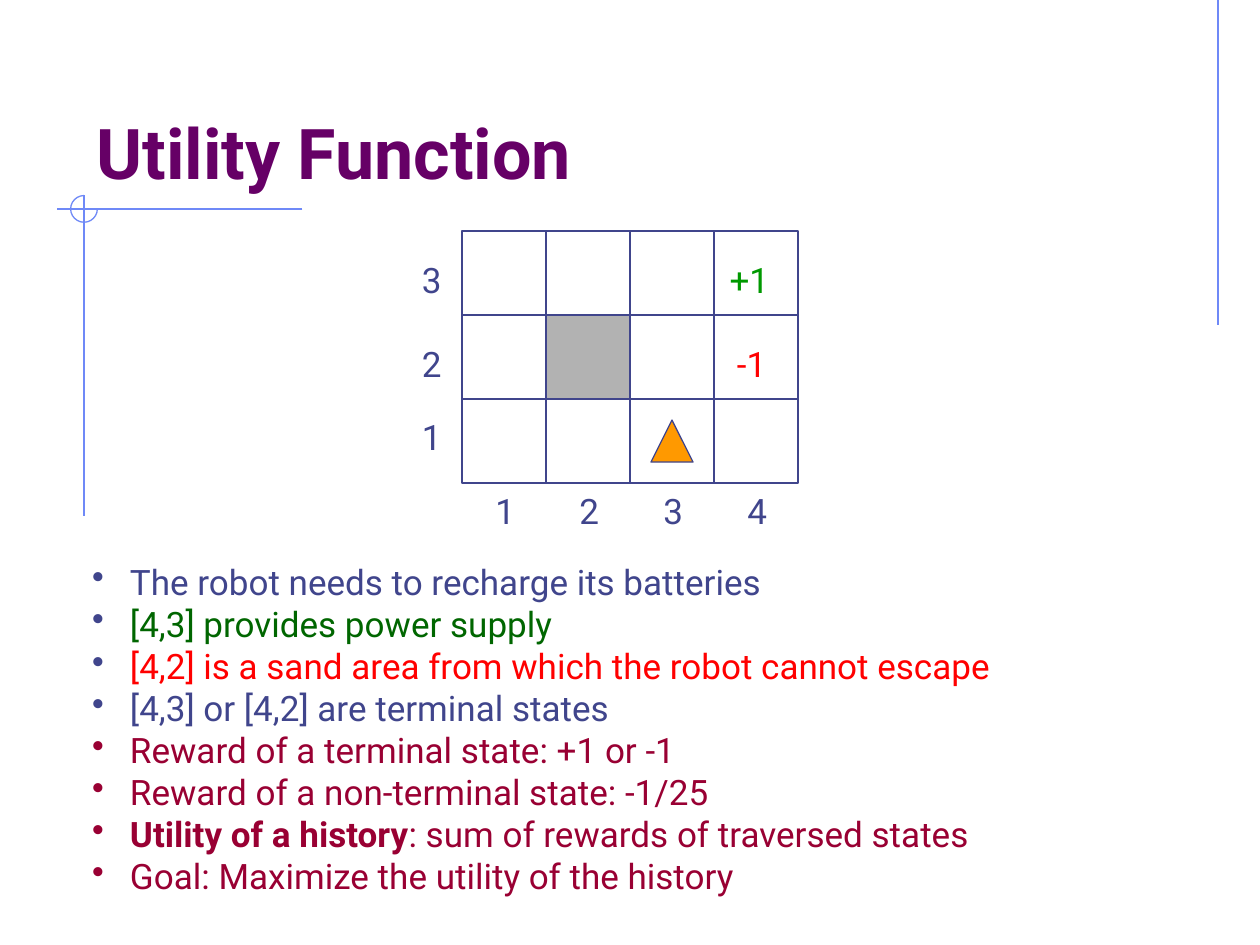
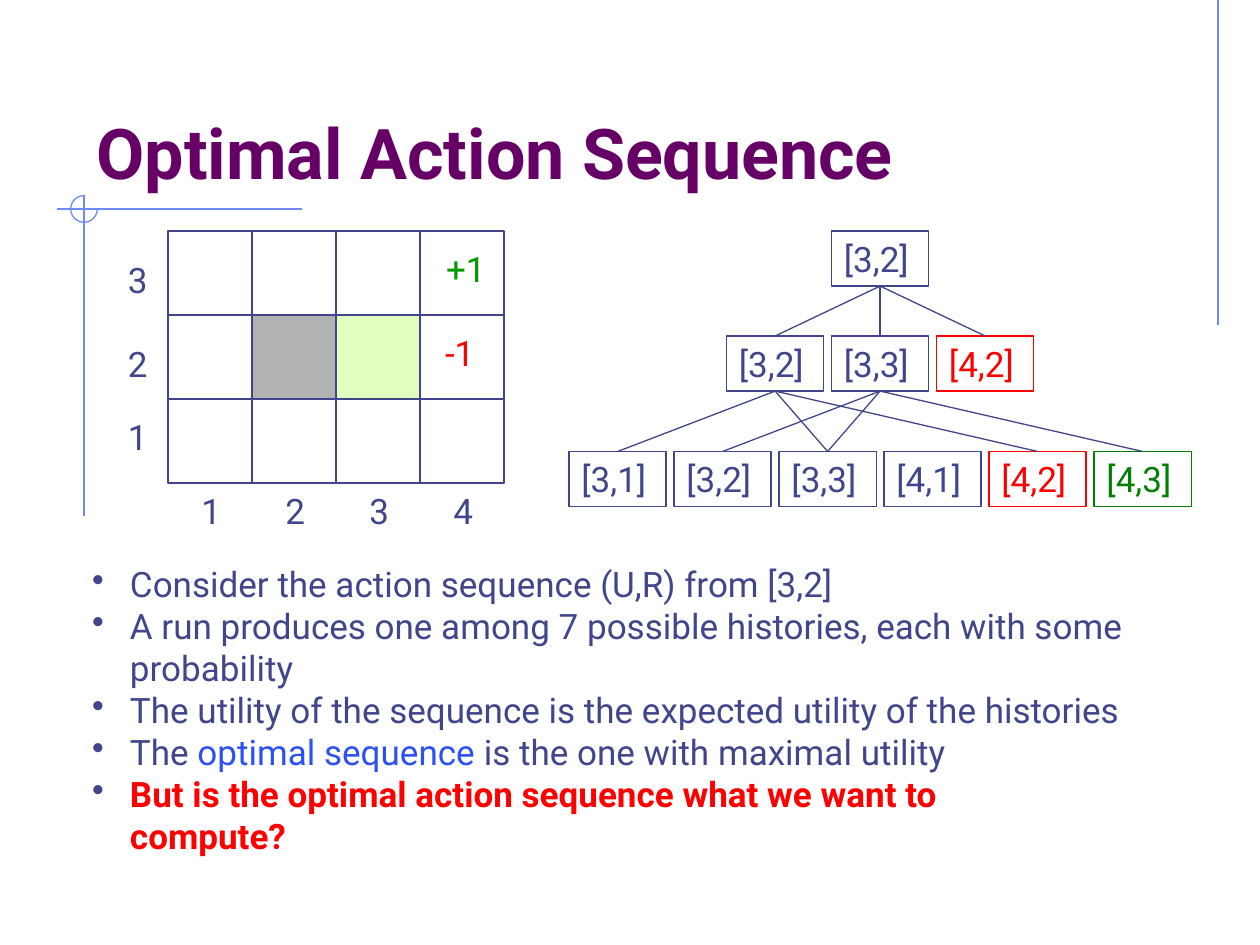
from collections import namedtuple
from dataclasses import dataclass

from lxml import etree
from pptx import Presentation, util as u
from pptx.dml.color import RGBColor
from pptx.enum import shapes, text
from pptx.oxml import ns

COLUMNS, ROWS = 120, 90  # slide grid, 12 units to the inch
UNIT = u.Inches(10) / COLUMNS
CELL = 8                 # side of one square of the robot's world
Box = namedtuple("Box", "left top width height")


@dataclass(frozen=True)
class Theme:
    font: str = "Roboto"
    title_size: int = 40
    body_size: int = 20
    thin: float = 0.75
    title: str = "660066"
    ink: str = "40458C"
    ornament: str = "6F89F7"
    wall: str = "B2B2B2"
    robot: str = "FF9900"
    start: str = "E0FFC1"
    gain: str = "009900"
    power: str = "006600"
    goal: str = "008000"
    danger: str = "FF0000"
    reward: str = "990033"
    accent: str = "2B51F3"


THEME = Theme()


# Basic parts
def emu(*units):
    return [round(value * UNIT) for value in units]


def add_run(paragraph, wording, color=THEME.ink, bold=False, size=THEME.body_size):
    run = paragraph.add_run()
    run.text = wording
    run.font.name, run.font.size, run.font.bold = THEME.font, u.Pt(size), bold
    run.font.color.rgb = RGBColor.from_string(color)


def fit_frame(frame):
    frame.word_wrap = False
    frame.auto_size = text.MSO_AUTO_SIZE.SHAPE_TO_FIT_TEXT


def add_label(slide, box, wording, color=THEME.ink):
    frame = slide.shapes.add_textbox(*emu(*box)).text_frame
    fit_frame(frame)
    add_run(frame.paragraphs[0], wording, color)


def add_outline(slide, kind, box, fill=None, line=THEME.ink, weight=THEME.thin):
    outline = slide.shapes.add_shape(kind, *emu(*box))
    outline.shadow.inherit = False
    if fill:
        outline.fill.solid()
        outline.fill.fore_color.rgb = RGBColor.from_string(fill)
    else:
        outline.fill.background()
    outline.line.color.rgb = RGBColor.from_string(line)
    outline.line.width = u.Pt(weight)
    return outline


def add_line(slide, ends=(0, 0, 0, 0), color=THEME.ink, upper=None, lower=None):
    """Line between two points, or from the bottom of upper to the top of lower."""
    line = slide.shapes.add_connector(shapes.MSO_CONNECTOR.STRAIGHT, *emu(*ends))
    line.line.color.rgb = RGBColor.from_string(color)
    line.line.width = u.Pt(THEME.thin)
    etree.SubElement(line.element.spPr, ns.qn("a:effectLst"))
    if upper is not None:
        line.begin_connect(upper, 2)
        line.end_connect(lower, 0)
    return line


# Shared look: ornament moved into the layout, title formatted per slide
def add_ornament(slide):
    center_x, center_y, radius = 8, 19.9, 1.27
    parts = [add_line(slide, ends, THEME.ornament) for ends in (
        (116, 0, 116, 31),
        (28.8, center_y, 5.4, center_y),
        (center_x, 18.6, center_x, 49.1))]
    ring = add_outline(slide, shapes.MSO_SHAPE.ARC,
                       Box(center_x - radius, center_y - radius, 2 * radius, 2 * radius),
                       line=THEME.ornament)
    ring.adjustments[0], ring.adjustments[1] = 0, 162  # right, clockwise to top
    for number, part in enumerate(parts + [ring], start=100):
        part.element.xpath(".//p:cNvPr")[0].set("id", str(number))
        slide.slide_layout.shapes.element.append(part.element)


def add_titled_slide(deck, wording):
    slide = deck.slides.add_slide(deck.slide_layouts[5])
    title = slide.shapes.title
    title.left, title.top, title.width, title.height = emu(8, 4, 102, 15)
    frame = title.text_frame
    frame.word_wrap = True
    frame.auto_size = text.MSO_AUTO_SIZE.NONE
    frame.vertical_anchor = text.MSO_ANCHOR.BOTTOM
    frame.paragraphs[0].alignment = text.PP_ALIGN.LEFT
    add_run(frame.paragraphs[0], wording, THEME.title, True, THEME.title_size)
    return slide


# World of 4 by 3 squares with its row and column numbers
def cell_box(world, column, row):
    return Box(world.left + column * CELL, world.top + row * CELL, CELL, CELL)


def add_world(slide, world, gain_shift, loss_shift):
    frame = add_outline(slide, shapes.MSO_SHAPE.RECTANGLE, world)
    right, bottom = world.left + world.width, world.top + world.height
    for column in (1, 2, 3):
        x = world.left + column * CELL
        divider = add_line(slide, (x, world.top, x, bottom))
        if column == 2:
            divider.begin_connect(frame, 0)
            divider.end_connect(frame, 2)
    for row in (1, 2):
        y = world.top + row * CELL
        add_line(slide, (world.left, y, right, y))
    add_outline(slide, shapes.MSO_SHAPE.RECTANGLE, cell_box(world, 1, 1), THEME.wall)

    rewards = (("+1", THEME.gain, 6.2, gain_shift), ("-1", THEME.danger, 5.4, loss_shift))
    for row, (wording, color, width, (dx, dy)) in enumerate(rewards):
        cell = cell_box(world, 3, row)
        add_label(slide, Box(cell.left + dx, cell.top + dy, width, 5.25), wording, color)
    for number, dy in zip("321", (2, 10, 17)):
        add_label(slide, Box(world.left - 5, world.top + dy, 4.3, 5.25), number)
    for column, number in enumerate("1234"):
        add_label(slide, Box(world.left + 2 + column * CELL, bottom, 4.3, 5.25), number)


# Tree of the states reached by two actions
def add_state_tree(slide, area):
    pitch, node_width, node_height = 10, 9.25, 5.25
    colors = {"[4,2]": THEME.danger, "[4,3]": THEME.goal}
    levels = (
        (25, 0, ("[3,2]",)),
        (15, 10, ("[3,2]", "[3,3]", "[4,2]")),
        (0, 21, ("[3,1]", "[3,2]", "[3,3]", "[4,1]", "[4,2]", "[4,3]")),
    )
    nodes = []
    for dx, dy, states in levels:
        level = []
        for index, state in enumerate(states):
            color = THEME.ink if len(states) == 1 else colors.get(state, THEME.ink)
            node = add_outline(slide, shapes.MSO_SHAPE.RECTANGLE,
                               Box(area.left + dx + index * pitch, area.top + dy,
                                   node_width, node_height), line=color)
            fit_frame(node.text_frame)
            node.text_frame.vertical_anchor = text.MSO_ANCHOR.TOP
            node.text_frame.paragraphs[0].alignment = text.PP_ALIGN.LEFT
            add_run(node.text_frame.paragraphs[0], state, color)
            level.append(node)
        nodes.append(level)

    # Each entry: level of the parent, its place, places of its successors
    for depth, parent, successors in ((0, 0, (0, 1, 2)), (1, 0, (2, 0, 4)), (1, 1, (2, 1, 5))):
        for successor in successors:
            add_line(slide, upper=nodes[depth][parent], lower=nodes[depth + 1][successor])


# Bulleted remarks: (bullet colour, runs); a line feed in a run is a line break
def add_remarks(slide, area, remarks):
    frame = slide.shapes.add_textbox(*emu(*area)).text_frame
    fit_frame(frame)
    hanging = u.Inches(0.3)
    for index, (bullet_color, runs) in enumerate(remarks):
        paragraph = frame.add_paragraph() if index else frame.paragraphs[0]
        properties = paragraph._p.get_or_add_pPr()
        properties.set("marL", str(hanging))
        properties.set("indent", str(-hanging))
        bullet = etree.SubElement(properties, ns.qn("a:buClr"))
        etree.SubElement(bullet, ns.qn("a:srgbClr"), val=bullet_color)
        etree.SubElement(properties, ns.qn("a:buChar"), char="•")
        for wording, *style in runs:
            for number, line in enumerate(wording.split("\n")):
                if number:
                    paragraph.add_line_break()
                add_run(paragraph, line, *style)


# Slides
def build_utility_slide(deck):
    slide = add_titled_slide(deck, "Utility Function")
    add_ornament(slide)
    ink, reward = THEME.ink, THEME.reward
    add_remarks(slide, Box(7.6, 52.8, 91.4, 33.2), (
        (ink, [("The robot needs to recharge its batteries",)]),
        (ink, [("[4,3] provides power supply", THEME.power)]),
        (ink, [("[4,2] is a sand area from which the robot cannot escape", THEME.danger)]),
        (ink, [("[4,3] or [4,2] are terminal states",)]),
        (reward, [("Reward of a terminal state: +1 or -1", reward)]),
        (reward, [("Reward of a non-terminal state: -1/25", reward)]),
        (reward, [("Utility of a history", reward, True),
                  (": sum of rewards of traversed states", reward)]),
        (reward, [("Goal: Maximize the utility of the history", reward)]),
    ))
    world = Box(44, 22, 4 * CELL, 3 * CELL)
    add_world(slide, world, gain_shift=(0.3, 2), loss_shift=(1, 2))
    robot_cell = cell_box(world, 2, 2)
    add_outline(slide, shapes.MSO_SHAPE.ISOSCELES_TRIANGLE,
                Box(robot_cell.left + CELL / 4, robot_cell.top + CELL / 4, CELL / 2, CELL / 2),
                THEME.robot)


def build_sequence_slide(deck):
    slide = add_titled_slide(deck, "Optimal Action Sequence")
    world = Box(16, 22, 4 * CELL, 3 * CELL)
    add_world(slide, world, gain_shift=(1.3, 1), loss_shift=(1.2, 1))
    ink = THEME.ink
    add_remarks(slide, Box(7.6, 53, 104.6, 29.3), (
        (ink, [("Consider the action sequence (U,R) from [3,2]",)]),
        (ink, [("A run produces one among 7 possible histories, each with some\nprobability",)]),
        (ink, [("The utility of the sequence is the expected utility of the histories",)]),
        (ink, [("The ",), ("optimal sequence", THEME.accent),
               (" is the one with maximal utility",)]),
        (ink, [("But is the optimal action sequence what we want to\ncompute?",
                THEME.danger, True)]),
    ))
    add_state_tree(slide, Box(54.2, 22, 59.25, 26.25))
    add_outline(slide, shapes.MSO_SHAPE.RECTANGLE, cell_box(world, 2, 1), THEME.start, weight=1)


def main():
    deck = Presentation()
    deck.slide_width, deck.slide_height = emu(COLUMNS, ROWS)
    build_utility_slide(deck)
    build_sequence_slide(deck)
    deck.save("out.pptx")


if __name__ == "__main__":
    main()
